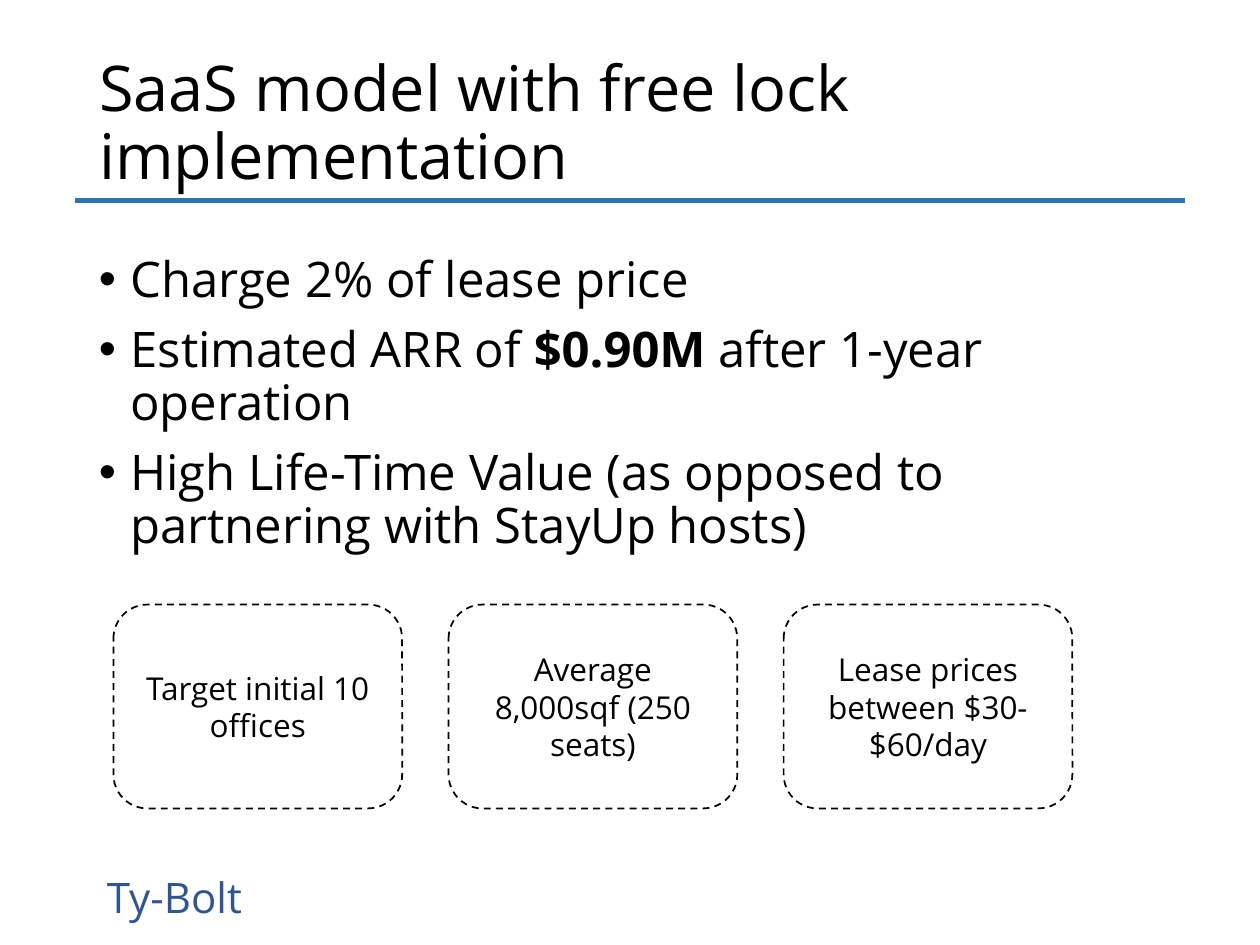
from lxml.etree import SubElement
from pptx import Presentation
from pptx.dml.color import RGBColor
from pptx.enum.dml import MSO_LINE
from pptx.enum.shapes import MSO_CONNECTOR, MSO_SHAPE
from pptx.enum.text import MSO_ANCHOR, MSO_AUTO_SIZE, PP_ALIGN
from pptx.oxml.ns import qn
from pptx.util import Pt

BLACK = RGBColor(0x00, 0x00, 0x00)
NAVY = RGBColor(0x2F, 0x55, 0x97)
BLUE = RGBColor(0x2E, 0x75, 0xB6)

FRAME = {"word_wrap": True, "auto_size": MSO_AUTO_SIZE.NONE}
MIDDLE = {**FRAME, "vertical_anchor": MSO_ANCHOR.MIDDLE}
LEFT = {"alignment": PP_ALIGN.LEFT, "line_spacing": 0.9}
BULLET = {**LEFT, "space_before": Pt(10)}
CENTER = {"alignment": PP_ALIGN.CENTER}


def assign(item, values):
    for name, value in values.items():
        setattr(item, name, value)


def write(para, text, size, color=BLACK, bold=False):
    run = para.add_run()
    run.text = text
    assign(run.font, {"name": "Open Sans", "size": Pt(size), "bold": bold})
    run.font.color.rgb = color


deck = Presentation()
assign(deck, {"slide_width": Pt(720), "slide_height": Pt(540)})
slide = deck.slides.add_slide(deck.slide_layouts[5])
shapes = slide.shapes

# Title
title = shapes.title
assign(title, {"left": Pt(49.5), "top": Pt(19.5), "width": Pt(621), "height": Pt(104.5)})
assign(title.text_frame, MIDDLE)
para = title.text_frame.paragraphs[0]
assign(para, LEFT)
write(para, "SaaS model with free lock implementation", 36)

# Rule under the title
rule = shapes.add_connector(MSO_CONNECTOR.STRAIGHT, Pt(43), Pt(114.5), Pt(677), Pt(114.5))
rule.line.color.rgb = BLUE
rule.line.width = Pt(3)
SubElement(rule._element.spPr, qn("a:effectLst"))

# Bullet points, each a list of (text, bold)
points = [
    [("Charge 2% of lease price", False)],
    [("Estimated ARR of ", False), ("$0.90M ", True), ("after 1-year operation", False)],
    [("High Life-Time Value (as opposed to partnering with StayUp hosts)", False)],
]
body = shapes.add_textbox(Pt(49.5), Pt(142), Pt(621), Pt(186.5)).text_frame
assign(body, FRAME)
for i, parts in enumerate(points):
    para = body.add_paragraph() if i else body.paragraphs[0]
    assign(para, BULLET)
    props = para._p.get_or_add_pPr()
    props.set("marL", str(Pt(18)))
    props.set("indent", str(Pt(-18)))
    SubElement(props, qn("a:buFont"), typeface="Arial")
    SubElement(props, qn("a:buChar"), char="•")
    for text, bold in parts:
        write(para, text, 28, bold=bold)

# Row of dashed boxes
facts = [
    "Target initial 10 offices",
    "Average 8,000sqf (250 seats)",
    "Lease prices between $30-$60/day",
]
for i, fact in enumerate(facts):
    box = shapes.add_shape(
        MSO_SHAPE.ROUNDED_RECTANGLE, Pt(64.8 + 191.5 * i), Pt(345.5), Pt(165), Pt(116.5)
    )
    box.shadow.inherit = False
    box.fill.background()
    box.line.color.rgb = BLACK
    assign(box.line, {"width": Pt(1), "dash_style": MSO_LINE.DASH})
    assign(box.text_frame, MIDDLE)
    para = box.text_frame.paragraphs[0]
    assign(para, CENTER)
    write(para, fact, 18)

# Name at the foot
foot = shapes.add_textbox(Pt(54), Pt(492.5), Pt(612), Pt(44)).text_frame
assign(foot, MIDDLE)
para = foot.paragraphs[0]
assign(para, LEFT)
write(para, "Ty-Bolt", 24, NAVY)

deck.save("out.pptx")
